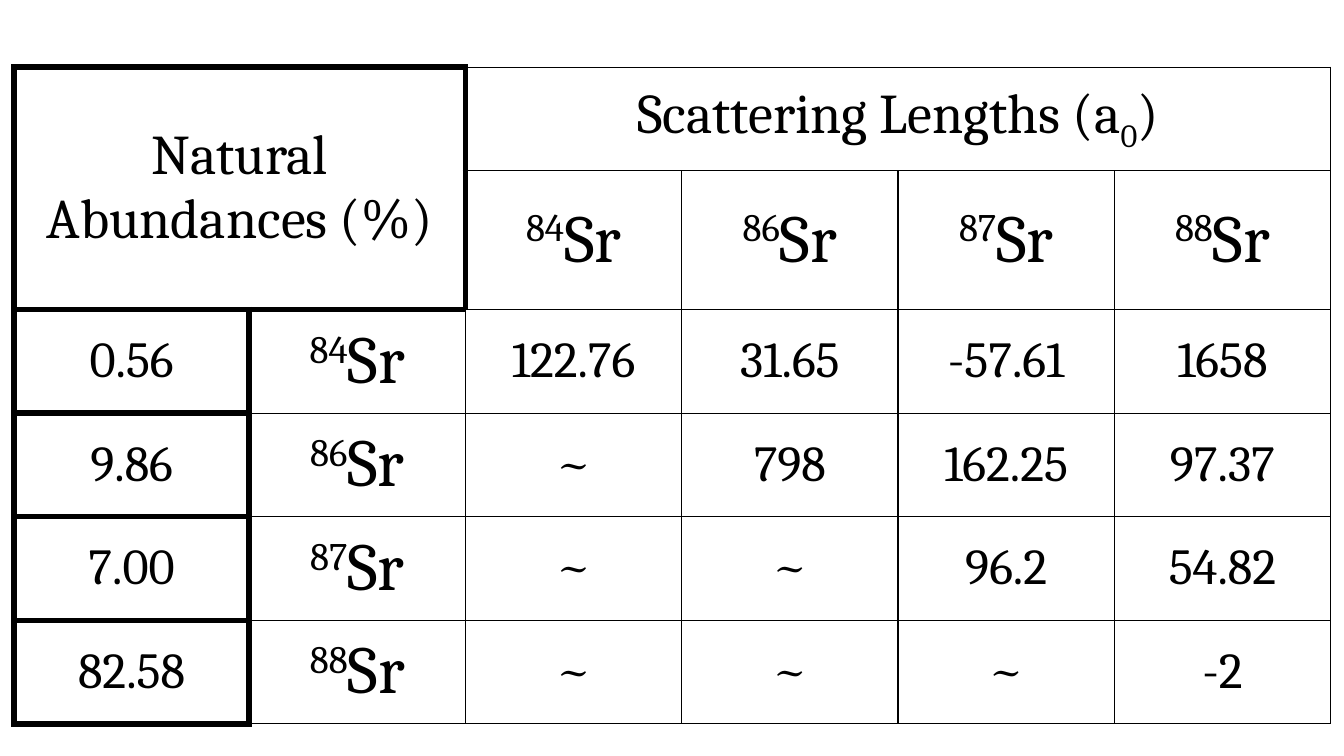
from lxml import etree
from pptx import Presentation
from pptx.dml.color import RGBColor
from pptx.enum.text import MSO_ANCHOR, PP_ALIGN
from pptx.oxml.ns import qn
from pptx.util import Pt

CENTER = PP_ALIGN.CENTER
MIDDLE = MSO_ANCHOR.MIDDLE
BLACK = "000000"
HEAVY, THIN = 4.5, 1
HEADING_SIZE, ISOTOPE_SIZE, VALUE_SIZE = 40, 48, 36
SUPERSCRIPT, SUBSCRIPT = 30000, -25000
HEADER_ROWS = LABEL_COLUMNS = 2
ISOTOPES = ["84", "86", "87", "88"]
ABUNDANCES = ["0.56", "9.86", "7.00", "82.58"]
SCATTERING_LENGTHS = [
    ["122.76", "31.65", "-57.61", "1658"],
    ["~", "798", "162.25", "97.37"],
    ["~", "~", "96.2", "54.82"],
    ["~", "~", "~", "-2"],
]
ROW_COUNT = HEADER_ROWS + len(ISOTOPES)
COLUMN_COUNT = LABEL_COLUMNS + len(ISOTOPES)
FIRST_WIDTH, COLUMN_WIDTH, ROW_HEIGHT = 168, 154.5, 74
SIDES = {"lnL": (0, -1), "lnR": (0, 1), "lnT": (-1, 0), "lnB": (1, 0)}


def color(value):
    return RGBColor.from_string(value)


def write_cell(cell, size, *pieces):
    cell.vertical_anchor = MIDDLE
    para = cell.text_frame.paragraphs[0]
    para.alignment = CENTER
    font_format = {"name": "Cambria", "size": Pt(size), "bold": False}
    for text, baseline in pieces:
        span = para.add_run()
        span.text = text
        for name, value in font_format.items():
            setattr(span.font, name, value)
        span.font.color.rgb = color(BLACK)
        if baseline:
            span.font._element.set("baseline", str(baseline))


def write_isotope(cell, mass):
    write_cell(cell, ISOTOPE_SIZE, (mass, SUPERSCRIPT), ("Sr", 0))


def is_heavy(row, column):
    in_heading = row < HEADER_ROWS and column < LABEL_COLUMNS
    return 0 <= row < ROW_COUNT and (column == 0 or in_heading and column > 0)


def add_border(cell, side, width):
    properties = cell._tc.get_or_add_tcPr()
    line = etree.SubElement(properties, qn(f"a:{side}"), w=str(Pt(width)))
    fill = etree.SubElement(line, qn("a:solidFill"))
    etree.SubElement(fill, qn("a:srgbClr"), val=BLACK)


def style_cell(cell, row, column):
    for side, (down, across) in SIDES.items():
        heavy = is_heavy(row, column) or is_heavy(row + down, column + across)
        add_border(cell, side, HEAVY if heavy else THIN)
    cell.fill.background()


def add_grid(page):
    width = FIRST_WIDTH + COLUMN_WIDTH * (COLUMN_COUNT - 1)
    frame = page.shapes.add_table(
        ROW_COUNT, COLUMN_COUNT, Pt(10), Pt(48), Pt(width), Pt(ROW_HEIGHT * ROW_COUNT)
    )
    table = frame.table
    for name in ("first_row", "horz_banding"):
        setattr(table, name, False)
    for index, column in enumerate(table.columns):
        column.width = Pt(COLUMN_WIDTH if index else FIRST_WIDTH)
    for row in table.rows:
        row.height = Pt(ROW_HEIGHT)
    for row in range(ROW_COUNT):
        for column in range(COLUMN_COUNT):
            style_cell(table.cell(row, column), row, column)
    return table


def fill_headings(table):
    abundance = table.cell(0, 0)
    abundance.merge(table.cell(HEADER_ROWS - 1, LABEL_COLUMNS - 1))
    write_cell(abundance, HEADING_SIZE, ("Natural Abundances (%)", 0))
    scattering = table.cell(0, LABEL_COLUMNS)
    scattering.merge(table.cell(0, COLUMN_COUNT - 1))
    write_cell(
        scattering, HEADING_SIZE, ("Scattering Lengths (a", 0), ("0", SUBSCRIPT), (")", 0)
    )
    for column, mass in enumerate(ISOTOPES, LABEL_COLUMNS):
        write_isotope(table.cell(1, column), mass)


def fill_values(table):
    records = zip(ABUNDANCES, ISOTOPES, SCATTERING_LENGTHS)
    for row, (abundance, mass, lengths) in enumerate(records, HEADER_ROWS):
        write_cell(table.cell(row, 0), VALUE_SIZE, (abundance, 0))
        write_isotope(table.cell(row, 1), mass)
        for column, length in enumerate(lengths, LABEL_COLUMNS):
            write_cell(table.cell(row, column), VALUE_SIZE, (length, 0))


def main():
    deck = Presentation()
    deck.slide_width, deck.slide_height = Pt(960), Pt(540)
    page = deck.slides.add_slide(deck.slide_layouts[6])
    table = add_grid(page)
    fill_headings(table)
    fill_values(table)
    deck.save("out.pptx")


if __name__ == "__main__":
    main()
